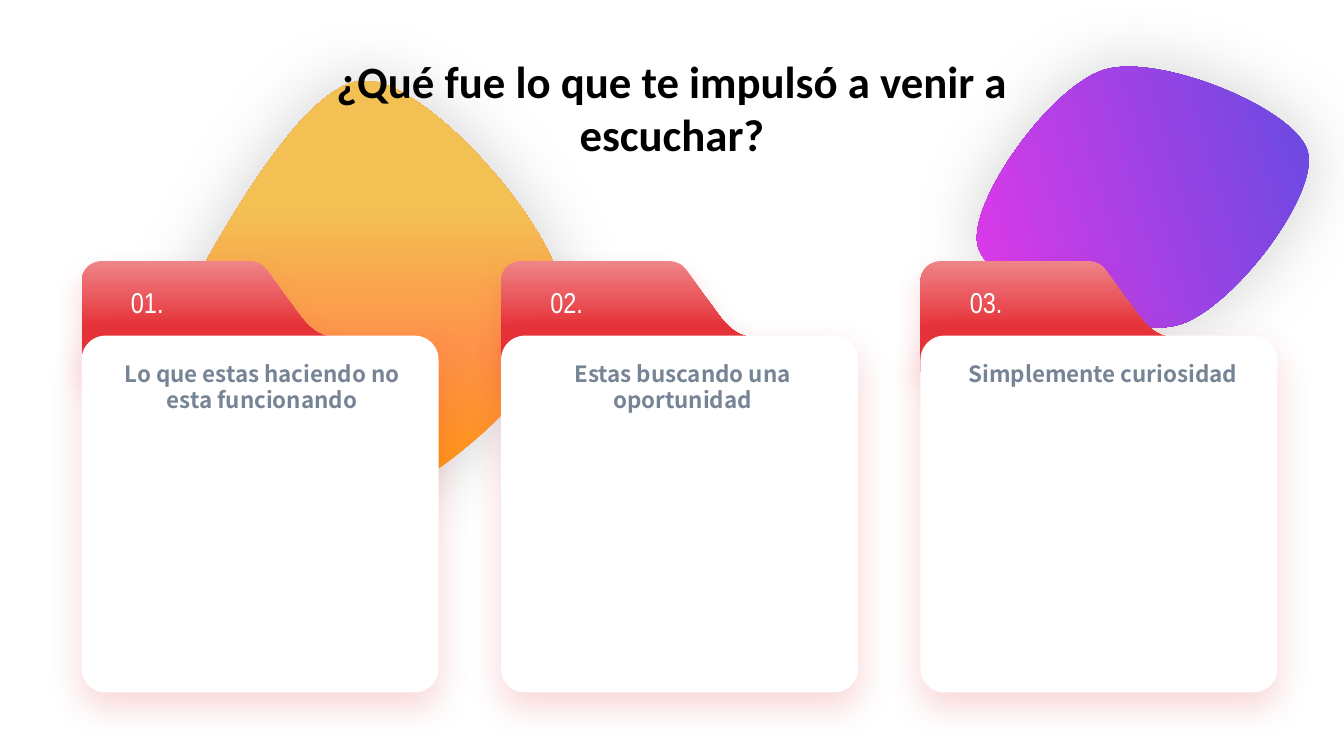
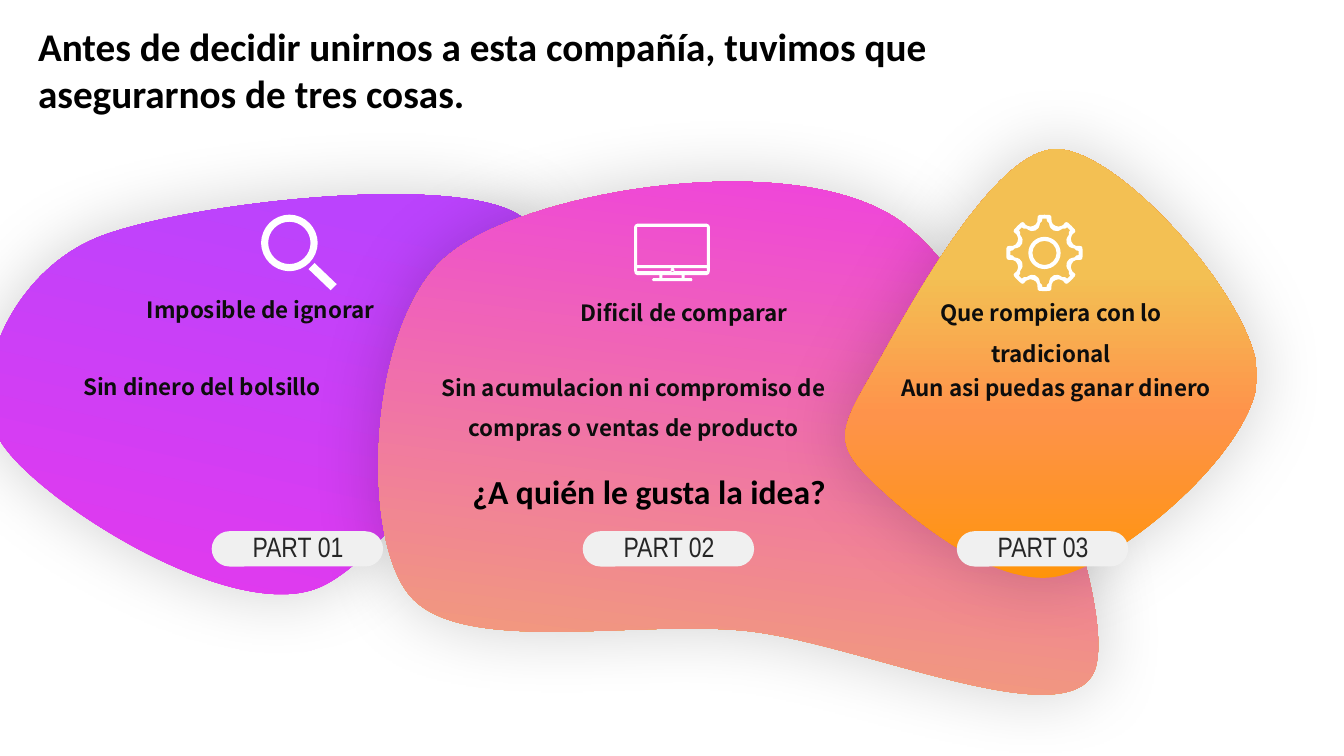
from math import cos, radians, sin

from pptx import Presentation
from pptx.dml.color import RGBColor
from pptx.enum.shapes import MSO_SHAPE
from pptx.enum.text import MSO_ANCHOR, PP_ALIGN
from pptx.oxml import parse_xml
from pptx.oxml.ns import nsdecls, qn
from pptx.util import Inches, Pt

ROUNDED = MSO_SHAPE.ROUNDED_RECTANGLE
LEFT, CENTER = PP_ALIGN.LEFT, PP_ALIGN.CENTER
TOP, MIDDLE = MSO_ANCHOR.TOP, MSO_ANCHOR.MIDDLE

BLACK = RGBColor(0x00, 0x00, 0x00)
WHITE = RGBColor(0xFF, 0xFF, 0xFF)
INK = RGBColor(0x0D, 0x0D, 0x0D)
CHARCOAL = RGBColor(0x26, 0x26, 0x26)
SLATE = RGBColor(0x77, 0x84, 0x95)
PALE = RGBColor(0xF0, 0xF0, 0xF0)
RED = RGBColor(0xE5, 0x32, 0x38)
ROSE = RGBColor(0xEF, 0x84, 0x88)
ORANGE = RGBColor(0xFF, 0x94, 0x09)
PEACH = RGBColor(0xFE, 0x93, 0x4B)
YELLOW = RGBColor(0xF3, 0xC0, 0x53)
INDIGO = RGBColor(0x58, 0x4C, 0xE0)
VIOLET = RGBColor(0xBB, 0x43, 0xFD)
MAGENTA = RGBColor(0xEE, 0x37, 0xE9)

TITLE_FONT, BODY_FONT, LABEL_FONT = "Calibri", "Noto Sans CJK SC", "Arial Narrow"

# Colour, opacity in percent, blur and distance in points, direction in degrees
BLOB_SHADOW = (BLACK, 18, 51, 0, 0)
TAB_SHADOW = (RED, 20, 20, 10, 90)
CARD_SHADOW = (RED, 20, 25, 10, 90)

SUNSET = [(0, ORANGE), (38, PEACH), (71, YELLOW)]
TAB_RED = [(0, ROSE), (60, RED)]
PLAIN_WHITE = [(0, WHITE)]

# Each outline is a start point followed by segments: one point is a line, three a curve
DROP = [(0.24, 2.24),
        [(0.55, 1.7), (1.43, 0), (2.07, 0)],
        [(2.7, 0), (4.04, 1.52), (4.05, 2.22)],
        [(4.06, 2.92), (2.76, 4.03), (2.12, 4.2)],
        [(1.48, 4.37), (0.54, 3.55), (0.22, 3.23)],
        [(-0.1, 2.9), (-0.07, 2.77), (0.24, 2.24)]]
PEBBLE = [(9.7, 2.45),
          [(9.58, 2.03), (10.42, 0.85), (10.96, 0.69)],
          [(11.51, 0.53), (12.85, 1.08), (12.97, 1.5)],
          [(13.09, 1.92), (12.24, 3.05), (11.7, 3.22)],
          [(11.16, 3.38), (9.82, 2.87), (9.7, 2.45)]]
LEAF = [(0.96, 2.36),
        [(1.84, 2), (4.89, 1.66), (5.26, 2.24)],
        [(5.63, 2.82), (4.04, 5.47), (3.16, 5.83)],
        [(2.29, 6.19), (0.39, 4.97), (0.02, 4.4)],
        [(-0.36, 3.83), (0.09, 2.72), (0.96, 2.36)]]
CLOUD = [(7.42, 6.26),
         [(6.29, 6.14), (4.54, 6.52), (4.05, 5.89)],
         [(3.56, 5.27), (3.66, 3.13), (4.47, 2.51)],
         [(5.27, 1.88), (7.82, 1.47), (8.88, 2.16)],
         [(9.95, 2.85), (11.1, 5.95), (10.86, 6.64)],
         [(10.61, 7.33), (8.56, 6.39), (7.42, 6.26)]]
TAB = [(2.45, 0.75),
       [(0, 1.1)],
       [(0, 0.2)],
       [(0, 0.09), (0.09, 0), (0.2, 0)],
       [(1.67, 0)],
       [(1.73, 0), (1.79, 0.03), (1.83, 0.08)],
       [(2.03, 0.36)],
       [(2.14, 0.49), (2.24, 0.71), (2.45, 0.75)]]
HANDLE = [(3.34, 2.82), [(3.28, 2.88)], [(3.06, 2.67)], [(3.12, 2.61)], [(3.34, 2.82)]]
MONITOR = [(6.32, 2.22),
           [(7.01, 2.22)],
           [(7.03, 2.22), (7.04, 2.24), (7.04, 2.25)],
           [(7.04, 2.69)],
           [(7.04, 2.71), (7.03, 2.73), (7.01, 2.73)],
           [(6.79, 2.73)], [(6.79, 2.76)], [(6.86, 2.76)],
           [(6.87, 2.76), (6.87, 2.79), (6.86, 2.79)],
           [(6.48, 2.79)],
           [(6.46, 2.79), (6.46, 2.76), (6.48, 2.76)],
           [(6.54, 2.76)], [(6.54, 2.73)], [(6.32, 2.73)],
           [(6.3, 2.73), (6.29, 2.71), (6.29, 2.69)],
           [(6.29, 2.25)],
           [(6.29, 2.24), (6.3, 2.22), (6.32, 2.22)]]
# Screen, lower edge and foot are openings in the monitor
OPENINGS = [[(left, top), [(left, bottom)], [(right, bottom)], [(right, top)], [(left, top)]]
            for left, top, right, bottom in [(6.32, 2.25, 7.01, 2.63), (6.32, 2.66, 7.01, 2.69),
                                             (6.57, 2.73, 6.76, 2.76)]]

# Sectors as (degrees, radius), repeated around a centre
QUARTER = [(0, 1), [(28.9, 1.14), (61.1, 1.14), (90, 1)]]
TOOTH = [(-7.5, 0.38),
         [(-2.5, 0.38), (2.5, 0.38), (7.5, 0.38)],
         [(9.5, 0.38), (11, 0.37), (11, 0.36)],
         [(10.5, 0.34), (11.5, 0.33), (12.7, 0.32)],
         [(14.5, 0.3), (18, 0.29), (22.5, 0.29)],
         [(27, 0.29), (30.5, 0.3), (32.3, 0.32)],
         [(33.5, 0.33), (34.5, 0.34), (34, 0.36)],
         [(34, 0.37), (35.5, 0.38), (37.5, 0.38)]]
TOOTH_INSIDE = [(-3.5, 0.34),
                [(-1, 0.34), (1, 0.34), (3.5, 0.34)],
                [(3.5, 0.32), (5, 0.31), (8.5, 0.3)],
                [(11, 0.26), (16, 0.24), (22.5, 0.24)],
                [(29, 0.24), (34, 0.26), (36.5, 0.3)],
                [(40, 0.31), (41.5, 0.32), (41.5, 0.34)]]
LENS_CENTRE, GEAR_CENTRE = (2.87, 2.41), (10.36, 2.51)


def ring(centre, radius, sector, repeats):
    """Outline made of one polar sector repeated around the centre."""
    turned = [[(radians(degrees + 360 / repeats * turn), radius * reach)
               for degrees, reach in segment]
              for turn in range(repeats) for segment in [[sector[0]]] + sector[1:]]
    placed = [[(centre[0] + reach * cos(angle), centre[1] + reach * sin(angle))
               for angle, reach in segment] for segment in turned]
    if sector is QUARTER:
        placed = [placed[0]] + [segment for segment in placed if len(segment) == 3]
    return [placed[0][0]] + placed[1:]


def add_text(page, place, text, font, size, color, bold=False, align=CENTER,
             spacing=None, anchor=TOP):
    box = page.shapes.add_textbox(*map(Inches, place))
    box.text_frame.word_wrap = True
    box.text_frame.vertical_anchor = anchor
    para = box.text_frame.paragraphs[0]
    para.alignment = align
    para.line_spacing = spacing
    span = para.add_run()
    span.text = text
    span.font.name, span.font.size, span.font.bold = font, Pt(size), bold
    span.font.color.rgb = color


deck = Presentation()
deck.slide_width, deck.slide_height = Inches(13.33), Inches(7.5)
reasons, checks = [deck.slides.add_slide(deck.slide_layouts[6]) for _ in range(2)]

# Three card columns on the first slide
CARD_LEFT, CARD_STEP, TAB_TOP, CARD_TOP, CARD_SIDE = 0.81, 4.16, 2.59, 3.33, 3.54
card_lefts = [CARD_LEFT + CARD_STEP * column for column in range(3)]

DROP_FRAME, TAB_FRAME = (0, 0, 4.05, 4.23), (0, 0, 2.46, 1.1)
lens = [ring(LENS_CENTRE, radius, QUARTER, 4) for radius in (0.28, 0.21)] + [HANDLE]
screen = [MONITOR, *OPENINGS, ring((6.67, 2.68), 0.02, QUARTER, 4)]
gear = [ring(GEAR_CENTRE, radius, QUARTER, 4) for radius in (0.12, 0.16)]
gear += [ring(GEAR_CENTRE, 1, sector, 8) for sector in (TOOTH_INSIDE, TOOTH)]

# Page, outlines, their frame (None: same as the place), place, rotation, fill, angle, shadow
figures = [
    (reasons, [DROP], DROP_FRAME, (1.55, 0.8, 4.05, 4.23), 0, SUNSET, 270, BLOB_SHADOW),
    (reasons, [PEBBLE], None, (9.63, 0.64, 3.41, 2.63), 343.8,
     [(0, INDIGO), (100, MAGENTA)], 180, BLOB_SHADOW),
    (checks, [LEAF], None, (0.03, 1.54, 5.59, 4.14), 327.8,
     [(0, MAGENTA), (71, VIOLET)], 315, BLOB_SHADOW),
    (checks, [CLOUD], None, (3.62, 1.83, 7.23, 6.21), 232.3,
     [(13, YELLOW), (88, MAGENTA)], 45, BLOB_SHADOW),
    (checks, [DROP], DROP_FRAME, (8.39, 1.48, 4.08, 4.26), 0, SUNSET, 270, BLOB_SHADOW),
    (checks, lens, None, (2.59, 2.13, 0.75, 0.75), 0, PLAIN_WHITE, 0, None),
    (checks, screen, None, (6.29, 2.22, 0.75, 0.57), 0, PLAIN_WHITE, 0, None),
    (checks, gear, None, (9.98, 2.13, 0.76, 0.76), 0, PLAIN_WHITE, 0, None),
]
figures += [(reasons, [TAB], TAB_FRAME, (left, TAB_TOP, 2.46, 1.1), 0, TAB_RED, 90, TAB_SHADOW)
            for left in card_lefts]

finishes = []
for page, outlines, frame, place, rotation, stops, angle, shadow in figures:
    left, top, width, height = frame or place
    # Outlines are turned back first, so that the shape's own rotation restores them
    pivot = complex(left + width / 2, top + height / 2)
    turn_back = complex(cos(radians(rotation)), -sin(radians(rotation)))
    builder = None
    for start, *segments in outlines:
        placed = [pivot + (complex(*point) - pivot) * turn_back
                  for point in [start] + sum(segments, [])]
        corners = [(Inches(point.real), Inches(point.imag)) for point in placed]
        if builder:
            builder.move_to(*corners[0])
        else:
            builder = page.shapes.build_freeform(*corners[0])
        builder.add_line_segments(corners[1:])
    figure = builder.convert_to_shape()

    # Frame the path by its true bounds and join each three points into a curve
    outline_path = figure._element.spPr.find(".//" + qn("a:path"))
    for point in outline_path.iter(qn("a:pt")):
        point.set("x", str(int(point.get("x")) + figure.left - Inches(left)))
        point.set("y", str(int(point.get("y")) + figure.top - Inches(top)))
    outline_path.set("w", str(Inches(width)))
    outline_path.set("h", str(Inches(height)))
    lines = iter(outline_path.findall(qn("a:lnTo")))
    for segment in sum([outline[1:] for outline in outlines], []):
        steps = [next(lines) for _ in segment]
        if len(steps) == 3:
            curve = parse_xml(f'<a:cubicBezTo {nsdecls("a")}/>')
            steps[0].addprevious(curve)
            for step in steps:
                curve.append(step[0])
                outline_path.remove(step)
    figure.left, figure.top, figure.width, figure.height = map(Inches, place)
    figure.rotation = rotation
    finishes.append((figure, stops, angle, shadow))

# First slide: title and cards
add_text(reasons, (3.17, 0.48, 6.99, 1.18), "¿Qué fue lo que te impulsó a venir a escuchar?",
         TITLE_FONT, 32, BLACK, bold=True)
captions = ["Lo que estas haciendo no esta funcionando", "Estas buscando una oportunidad",
            "Simplemente curiosidad"]
for column, (left, caption) in enumerate(zip(card_lefts, captions)):
    card = reasons.shapes.add_shape(ROUNDED, *map(Inches, (left, CARD_TOP, CARD_SIDE, CARD_SIDE)))
    card.adjustments[0] = 0.067
    finishes.append((card, PLAIN_WHITE, 0, CARD_SHADOW))
    add_text(reasons, (left + 0.39, 2.8, 0.94, 0.39), f"{column + 1:02}.", LABEL_FONT, 20.5,
             WHITE, align=LEFT, anchor=MIDDLE)
    add_text(reasons, (1.02 + 4.17 * column, 3.52, 3.16, 0.64), caption, BODY_FONT, 16, SLATE,
             bold=True)

# Second slide: title, part labels and texts
add_text(checks, (0.28, 0.17, 10.25, 1.04),
         "Antes de decidir unirnos a esta compañía, tuvimos que asegurarnos de tres cosas.",
         TITLE_FONT, 28, BLACK, bold=True, align=LEFT)
for number, left in enumerate((2.1, 5.78, 9.49), 1):
    pill = checks.shapes.add_shape(ROUNDED, *map(Inches, (left, 5.27, 1.7, 0.35)))
    pill.adjustments[0] = 0.5
    finishes.append((pill, [(0, PALE)], 0, None))
    add_text(checks, (left, 5.2, 1.71, 0.44), f"PART {number:02}", LABEL_FONT, 20, CHARCOAL)

statements = [
    ((1.02, 2.76, 3.13, 0.46), "Imposible de ignorar"),
    ((5.22, 2.79, 3.13, 0.46), "Dificil de comparar"),
    ((8.86, 2.79, 3.13, 0.86), "Que rompiera con lo tradicional"),
    ((0.44, 3.52, 3.13, 0.46), "Sin dinero del bolsillo"),
    ((4.15, 3.53, 4.27, 0.86), "Sin acumulacion ni compromiso de compras o ventas de producto"),
    ((8.34, 3.53, 4.27, 0.46), "Aun asi puedas ganar dinero"),
]
for place, statement in statements:
    add_text(checks, place, statement, BODY_FONT, 16, INK, bold=True, spacing=1.5)
add_text(checks, (4.01, 4.42, 4.86, 0.64), "¿A quién le gusta la idea?",
         TITLE_FONT, 24, BLACK, bold=True, spacing=1.5)

# Fill, line and shadow of every figure, card and pill
for shape, stops, angle, shadow in finishes:
    properties = shape._element.spPr
    if len(stops) == 1:
        shape.fill.solid()
        shape.fill.fore_color.rgb = stops[0][1]
    else:
        shape.fill.background()
        marks = "".join(f'<a:gs pos="{share * 1000}"><a:srgbClr val="{color}"/></a:gs>'
                        for share, color in stops)
        properties.replace(properties.find(qn("a:noFill")), parse_xml(
            f'<a:gradFill {nsdecls("a")} rotWithShape="1"><a:gsLst>{marks}</a:gsLst>'
            f'<a:lin ang="{angle * 60000}" scaled="0"/></a:gradFill>'))
    shape.line.fill.background()
    shape.shadow.inherit = False
    if shadow:
        color, opacity, blur, distance, direction = shadow
        properties.find(qn("a:effectLst")).append(parse_xml(
            f'<a:outerShdw {nsdecls("a")} blurRad="{Pt(blur)}" dist="{Pt(distance)}" '
            f'dir="{direction * 60000}" algn="ctr" rotWithShape="0"><a:srgbClr val="{color}">'
            f'<a:alpha val="{opacity * 1000}"/></a:srgbClr></a:outerShdw>'))

deck.save("out.pptx")
